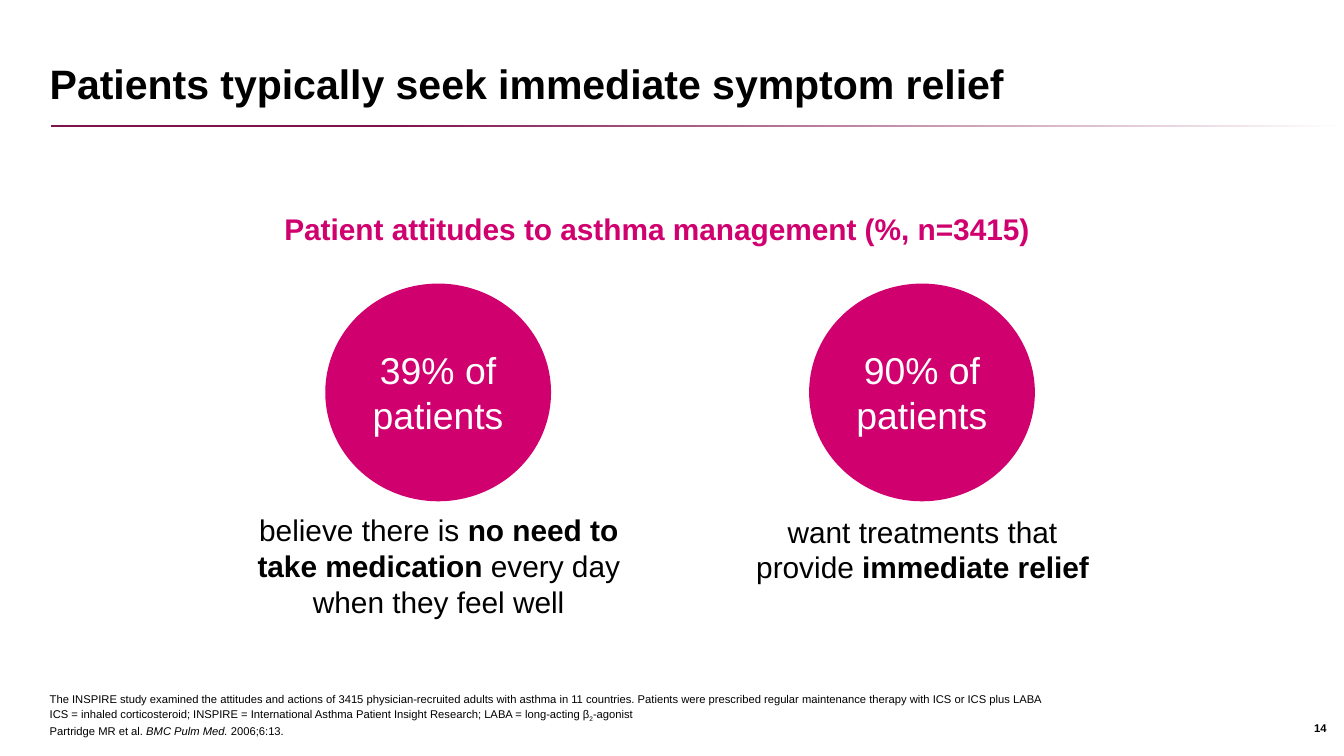
from lxml import etree
from pptx import Presentation
from pptx.dml.color import RGBColor
from pptx.enum.shapes import MSO_SHAPE as Shape
from pptx.enum.text import MSO_ANCHOR as Anchor, MSO_AUTO_SIZE as AutoSize, PP_ALIGN as Align
from pptx.oxml.ns import qn
from pptx.util import Inches, Pt

COLORS = {"text": "000000", "accent": "D0006F", "rule": "7F134C", "white": "FFFFFF"}
FONT = "Arial"

# Each statistic: circle left, circle text, caption box, caption runs
STATISTICS = [
    (2.42, "39% of patients", (1.76, 3.76, 3.01, 0.91),
     [("believe there is ", ""), ("no need to take medication", "bold"),
      (" every day when they feel well", "")]),
    (6.02, "90% of patients", (5.51, 3.77, 2.71, 0.64),
     [("want treatments that provide ", ""), ("immediate relief", "bold")]),
]

# Lines of one paragraph
FOOTNOTE_LINES = [
    [("The INSPIRE study examined the attitudes and actions of 3415 physician-recruited "
      "adults with asthma in 11 countries. Patients were prescribed regular maintenance "
      "therapy with ICS or ICS plus LABA", "")],
    [("ICS = inhaled corticosteroid; INSPIRE = International Asthma Patient Insight "
      "Research; LABA = long-acting β", ""), ("2", "subscript"), ("-agonist", "")],
    [("Partridge MR et al.", ""), (" BMC Pulm Med.", "italic"), (" 2006;6:13.", "")],
]


def rgb(name):
    return RGBColor.from_string(COLORS[name])


def place(shape, left, top, width, height):
    shape.left, shape.top = Inches(left), Inches(top)
    shape.width, shape.height = Inches(width), Inches(height)


def write_text(shape, lines, size=16, color="text", bold=False,
               align=Align.LEFT, anchor=Anchor.TOP, line_spacing=1.0):
    """Write one paragraph from lines, each a list of (text, style) runs."""
    frame = shape.text_frame
    frame.word_wrap = True
    frame.auto_size = AutoSize.NONE
    frame.vertical_anchor = anchor
    paragraph = frame.paragraphs[0]
    paragraph.alignment = align
    paragraph.line_spacing = line_spacing
    paragraph.space_before = Pt(0)
    paragraph.font.size = Pt(size)
    for index, runs in enumerate(lines):
        if index:
            paragraph.add_line_break()
        for text, style in runs:
            run = paragraph.add_run()
            run.text = text
            font = run.font
            font.name, font.size = FONT, Pt(size)
            font.color.rgb = rgb(color)
            font.bold = bold or style == "bold"
            font.italic = style == "italic"
            if style == "subscript":
                run._r.get_or_add_rPr().set("baseline", "-25000")
    # A line break takes its height from its own size
    for line_break in paragraph._p.findall(qn("a:br")):
        etree.SubElement(line_break, qn("a:rPr")).set("sz", str(size * 100))


def remove_bullet(shape):
    properties = shape.text_frame.paragraphs[0]._p.get_or_add_pPr()
    properties.set("marL", "0")
    properties.set("indent", "0")
    bullet = etree.Element(qn("a:buNone"))
    properties.find(qn("a:spcBef")).addnext(bullet)


def add_text(slide, box, lines, **text_format):
    shape = slide.shapes.add_textbox(*map(Inches, box))
    write_text(shape, lines, **text_format)


def add_plain_shape(slide, kind, box):
    shape = slide.shapes.add_shape(kind, *map(Inches, box))
    shape.shadow.inherit = False
    shape.line.fill.background()
    return shape


def add_title_rule(slide):
    rule = add_plain_shape(slide, Shape.RECTANGLE, (0.38, 0.93, 9.62, 0.01))
    rule.height = Pt(1)
    rule.fill.gradient()
    rule.fill.gradient_angle = 0
    for stop, position, color in zip(rule.fill.gradient_stops, (0.26, 1), ("rule", "white")):
        stop.position = position
        stop.color.rgb = rgb(color)


def add_statistic(slide, left, label, caption_box, caption):
    add_text(slide, caption_box, [caption], align=Align.CENTER)
    circle = add_plain_shape(slide, Shape.OVAL, (left, 2.11, 1.68, 1.62))
    circle.fill.solid()
    circle.fill.fore_color.rgb = rgb("accent")
    circle.text_frame.margin_left = circle.text_frame.margin_right = Inches(0.05)
    write_text(circle, [[(label, "")]], size=20, color="white",
               align=Align.CENTER, anchor=Anchor.MIDDLE)


def main():
    presentation = Presentation()
    presentation.slide_width = Inches(10)
    presentation.slide_height = Inches(10) * 9 // 16
    slide = presentation.slides.add_slide(presentation.slide_layouts[1])

    # Title and rule
    add_title_rule(slide)
    title = slide.shapes.title
    place(title, 0.27, 0.2, 9.53, 0.66)
    write_text(title, [[("Patients typically seek immediate symptom relief", "")]],
               size=22, bold=True, anchor=Anchor.BOTTOM, line_spacing=0.9)

    # Footnotes and page number
    footnote = slide.placeholders[1]
    place(footnote, 0.27, 5.27, 9.41, 0.27)
    write_text(footnote, FOOTNOTE_LINES, size=6, anchor=Anchor.BOTTOM, line_spacing=1.12)
    remove_bullet(footnote)
    add_text(slide, (9.68, 5.27, 0.32, 0.3), [[("14", "")]],
             size=6, bold=True, anchor=Anchor.MIDDLE)

    # Heading and statistics
    add_text(slide, (1.7, 1.52, 6.38, 0.37),
             [[("Patient attitudes to asthma management (%, n=3415)", "")]],
             color="accent", bold=True, align=Align.CENTER)
    for statistic in STATISTICS:
        add_statistic(slide, *statistic)

    presentation.save("out.pptx")


if __name__ == "__main__":
    main()
